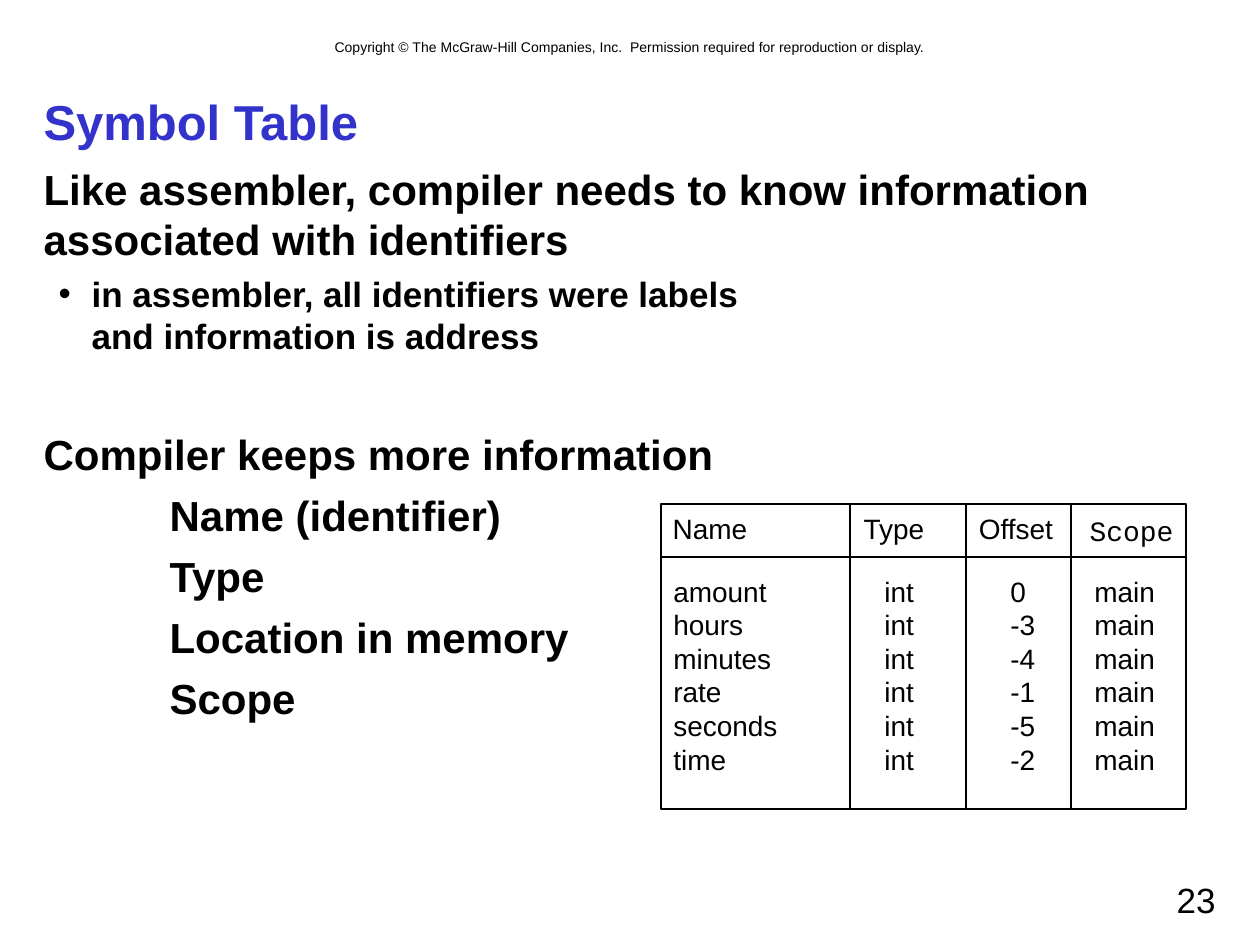
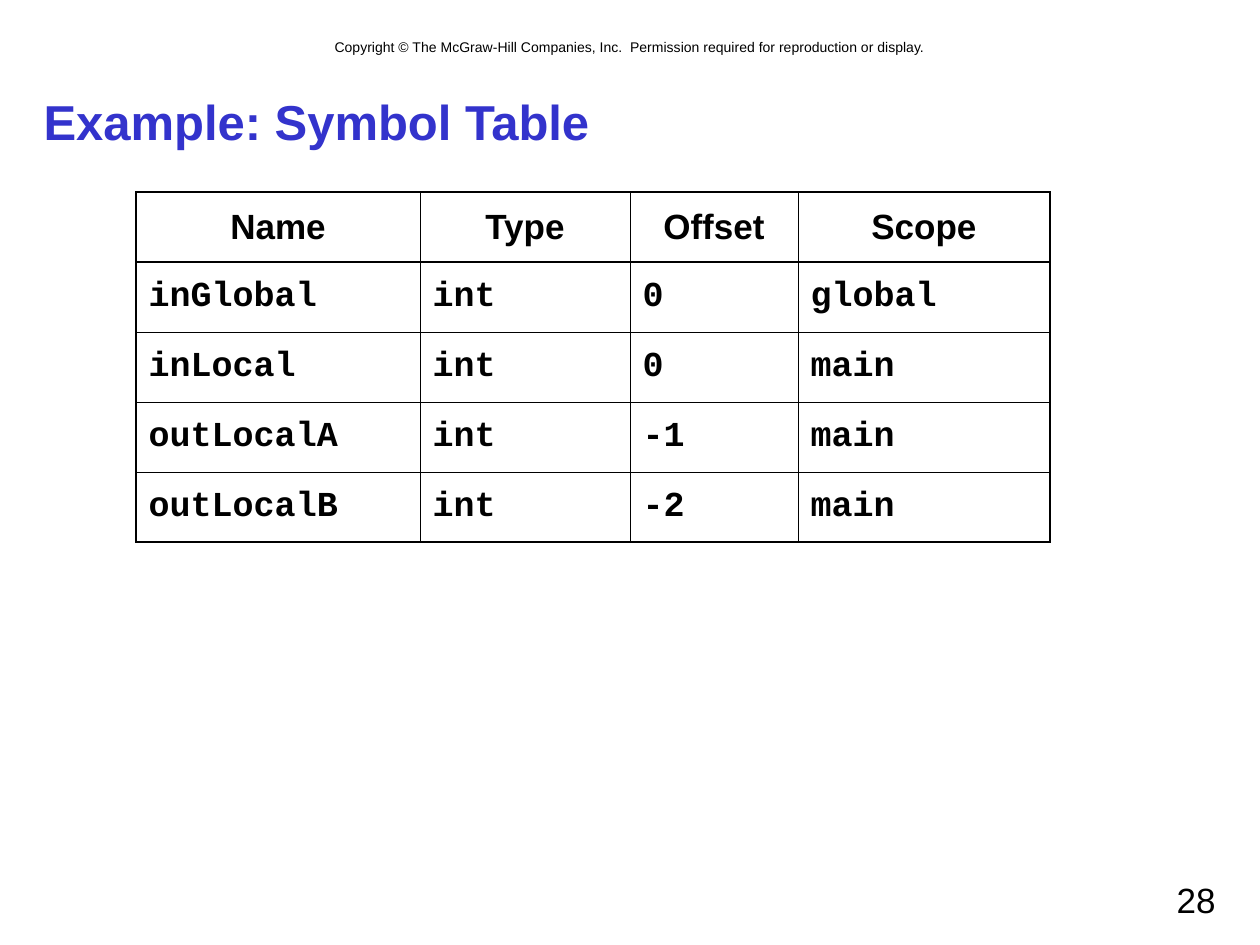
"""Build two slides on compiler symbol tables."""
import copy
import itertools
from dataclasses import dataclass

import pptx
import pptx.dml.color
import pptx.enum.shapes
import pptx.enum.text
import pptx.oxml
import pptx.oxml.ns
import pptx.util

PX = 914400 / 126
ARIAL, COURIER = "Arial", "Courier New"
BLACK, TITLE_BLUE = "000000", "3333CC"
ALIGN = pptx.enum.text.PP_ALIGN
ANCHOR = pptx.enum.text.MSO_ANCHOR
FIT = pptx.enum.text.MSO_AUTO_SIZE
COPYRIGHT = ("Copyright © The McGraw-Hill Companies, Inc.  "
             "Permission required for reproduction or display.")


@dataclass
class Box:
    left: int
    top: int
    width: int
    height: int


@dataclass
class Style:
    size: int
    font: str = ARIAL
    bold: bool = False
    color: str = BLACK
    align: ALIGN = ALIGN.LEFT


@dataclass
class BodyItem:
    text: str
    size: int = 24
    before: int = 6
    margin: int = 0
    hanging: int = 0
    level: int = 0


@dataclass
class SymbolColumn:
    heading: Box
    name: str
    font: str
    left: int
    width: int
    values: list[str]


BODY_ITEMS = [
    BodyItem("Like assembler, compiler needs to know information\n"
             "associated with identifiers", before=0),
    BodyItem("in assembler, all identifiers were labels\nand information is address",
             size=20, before=5, margin=48, hanging=33, level=1),
    BodyItem("Compiler keeps more information", before=41),
    *(BodyItem(name, margin=126)
      for name in ("Name (identifier)", "Type", "Location in memory", "Scope")),
]
SYMBOL_COLUMNS = [
    SymbolColumn(Box(660, 505, 100, 47), "Name", ARIAL, 661, 130,
                 ["amount", "hours", "minutes", "rate", "seconds", "time"]),
    SymbolColumn(Box(850, 505, 88, 47), "Type", ARIAL, 872, 56, ["int"] * 6),
    SymbolColumn(Box(966, 505, 100, 47), "Offset", ARIAL, 998, 52,
                 ["0", "-3", "-4", "-1", "-5", "-2"]),
    SymbolColumn(Box(1076, 507, 111, 47), "Scope", COURIER, 1082, 87, ["main"] * 6),
]
SYMBOL_FRAMES = [Box(661, 504, 525, 53), Box(661, 557, 525, 252)]
DIVIDERS = [850, 966, 1071]
EXAMPLE_ROWS = [
    ["Name", "Type", "Offset", "Scope"],
    ["inGlobal", "int", "0", "global"],
    ["inLocal", "int", "0", "main"],
    ["outLocalA", "int", "-1", "main"],
    ["outLocalB", "int", "-2", "main"],
]
EXAMPLE_WIDTHS = [284, 210, 168, 252]
ROW_HEIGHT = 70


def emu(px: int) -> int:
    """Turn px into EMU."""
    return round(px * PX)


def area(box: Box) -> tuple[int, ...]:
    """Return the box as EMU lengths."""
    return emu(box.left), emu(box.top), emu(box.width), emu(box.height)


def rgb(color: str) -> pptx.dml.color.RGBColor:
    """Turn a hex string into a colour."""
    return pptx.dml.color.RGBColor.from_string(color)


def format_paragraph(p, style: Style) -> None:
    """Apply a style to a paragraph, its runs and its line breaks."""
    p.alignment = style.align
    for r in p.runs:
        r.font.size = pptx.util.Pt(style.size)
        r.font.name = style.font
        r.font.bold = style.bold
        r.font.color.rgb = rgb(style.color)
    for br in p._p.findall(pptx.oxml.ns.qn("a:br")):
        br.append(copy.deepcopy(p.runs[0]._r.rPr))


def add_text(s, box: Box, text: str, style: Style, wrap: bool = True) -> None:
    """Add a text box with one paragraph per line."""
    tf = s.shapes.add_textbox(*area(box)).text_frame
    tf.word_wrap = wrap
    tf.auto_size = FIT.NONE if wrap else FIT.SHAPE_TO_FIT_TEXT
    tf.text = text
    for p in tf.paragraphs:
        format_paragraph(p, style)


def place(sp, box: Box) -> None:
    """Move a placeholder to a box."""
    sp.left, sp.top, sp.width, sp.height = area(box)
    sp.text_frame.auto_size = FIT.NONE


def add_slide(prs, layout: int, title: str, number: int):
    """Add a slide with its title, copyright line and number."""
    s = prs.slides.add_slide(prs.slide_layouts[layout])
    sp = s.shapes.title
    place(sp, Box(31, 84, 1197, 73))
    tf = sp.text_frame
    tf.vertical_anchor = ANCHOR.MIDDLE
    tf.text = title
    format_paragraph(tf.paragraphs[0], Style(28, bold=True, color=TITLE_BLUE))
    add_text(s, Box(84, 32, 1092, 30), COPYRIGHT, Style(8, align=ALIGN.CENTER))
    add_text(s, Box(903, 872, 325, 53), str(number), Style(20, align=ALIGN.RIGHT))
    return s


def fill_body(sp) -> None:
    """Write the list into the body placeholder."""
    place(sp, Box(31, 157, 1197, 683))
    tf = sp.text_frame
    for i, item in enumerate(BODY_ITEMS):
        p = tf.add_paragraph() if i else tf.paragraphs[0]
        p.text = item.text
        p.level = item.level
        p.space_before = pptx.util.Pt(item.before)
        pPr = p._p.get_or_add_pPr()
        pPr.set("marL", str(emu(item.margin)))
        pPr.set("indent", str(-emu(item.hanging)))
        bullet = pptx.oxml.ns.qn("a:buChar" if item.hanging else "a:buNone")
        mark = pPr.makeelement(bullet, {"char": "•"} if item.hanging else {})
        pPr.append(mark)
        format_paragraph(p, Style(item.size, bold=True))


def outline(line) -> None:
    """Give a line its colour and width."""
    line.color.rgb = rgb(BLACK)
    line.width = pptx.util.Pt(0.75)


def draw_symbol_table(s) -> None:
    """Draw the framed symbol table with its dividers."""
    for frame in SYMBOL_FRAMES:
        sp = s.shapes.add_shape(pptx.enum.shapes.MSO_SHAPE.RECTANGLE, *area(frame))
        sp.shadow.inherit = False
        sp.fill.background()
        outline(sp.line)
    for column in SYMBOL_COLUMNS:
        add_text(s, column.heading, column.name,
                 Style(16, column.font, align=ALIGN.CENTER), wrap=False)
        add_text(s, Box(column.left, 568, column.width, 214),
                 "\n".join(column.values), Style(16), wrap=False)
    top, bottom = emu(504), emu(809)
    for x in DIVIDERS:
        line = s.shapes.add_connector(pptx.enum.shapes.MSO_CONNECTOR.STRAIGHT,
                                      emu(x), top, emu(x), bottom)
        outline(line.line)
        spPr = line._element.spPr
        spPr.append(spPr.makeelement(pptx.oxml.ns.qn("a:effectLst"), {}))


def set_borders(cell, heavy: dict[str, bool]) -> None:
    """Draw the four cell borders, heavy where asked."""
    tcPr = cell._tc.get_or_add_tcPr()
    for side, is_heavy in heavy.items():
        width = pptx.util.Pt(1.08 if is_heavy else 0.45)
        tcPr.append(pptx.oxml.parse_xml(
            f'<a:ln{side} {pptx.oxml.ns.nsdecls("a")} w="{width}"><a:solidFill>'
            f'<a:srgbClr val="{BLACK}"/></a:solidFill></a:ln{side}>'))


def add_example_table(s) -> None:
    """Add the example symbol table."""
    rows, cols = len(EXAMPLE_ROWS), len(EXAMPLE_WIDTHS)
    box = Box(136, 192, sum(EXAMPLE_WIDTHS), ROW_HEIGHT * rows)
    table = s.shapes.add_table(rows, cols, *area(box)).table
    table.first_row = table.horz_banding = False
    for column, width in zip(table.columns, EXAMPLE_WIDTHS):
        column.width = emu(width)
    for row in table.rows:
        row.height = emu(ROW_HEIGHT)
    heading = Style(20, bold=True, align=ALIGN.CENTER)
    code = Style(20, COURIER, bold=True)
    for i, j in itertools.product(range(rows), range(cols)):
        cell = table.cell(i, j)
        cell.text = EXAMPLE_ROWS[i][j]
        cell.vertical_anchor = ANCHOR.MIDDLE
        format_paragraph(cell.text_frame.paragraphs[0], code if i else heading)
        set_borders(cell, {"L": j == 0, "R": j == cols - 1,
                           "T": i <= 1, "B": i in (0, rows - 1)})
        cell.fill.background()


def main() -> None:
    """Build and save the slides."""
    prs = pptx.Presentation()
    prs.slide_width, prs.slide_height = emu(1260), emu(945)
    s = add_slide(prs, 1, "Symbol Table", 23)
    fill_body(s.placeholders[1])
    draw_symbol_table(s)
    s = add_slide(prs, 5, "Example: Symbol Table", 28)
    add_example_table(s)
    prs.save("out.pptx")


if __name__ == "__main__":
    main()
